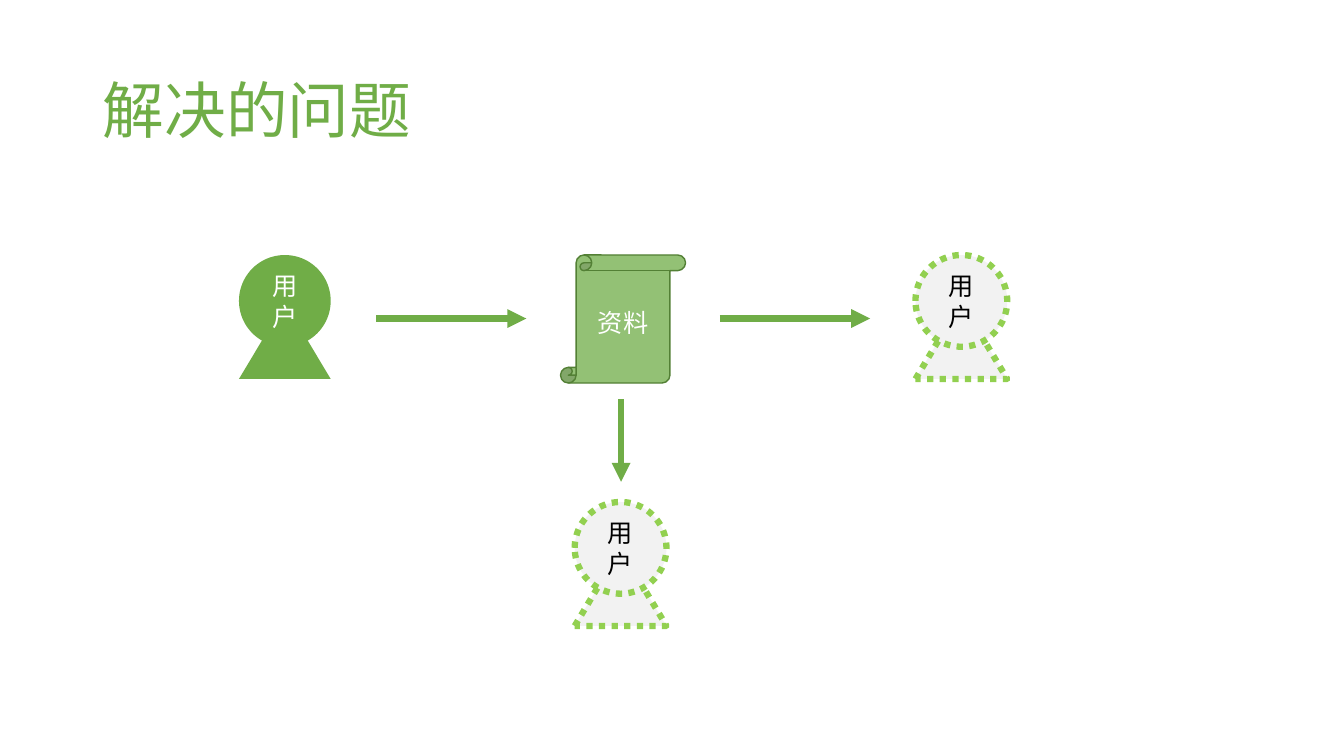
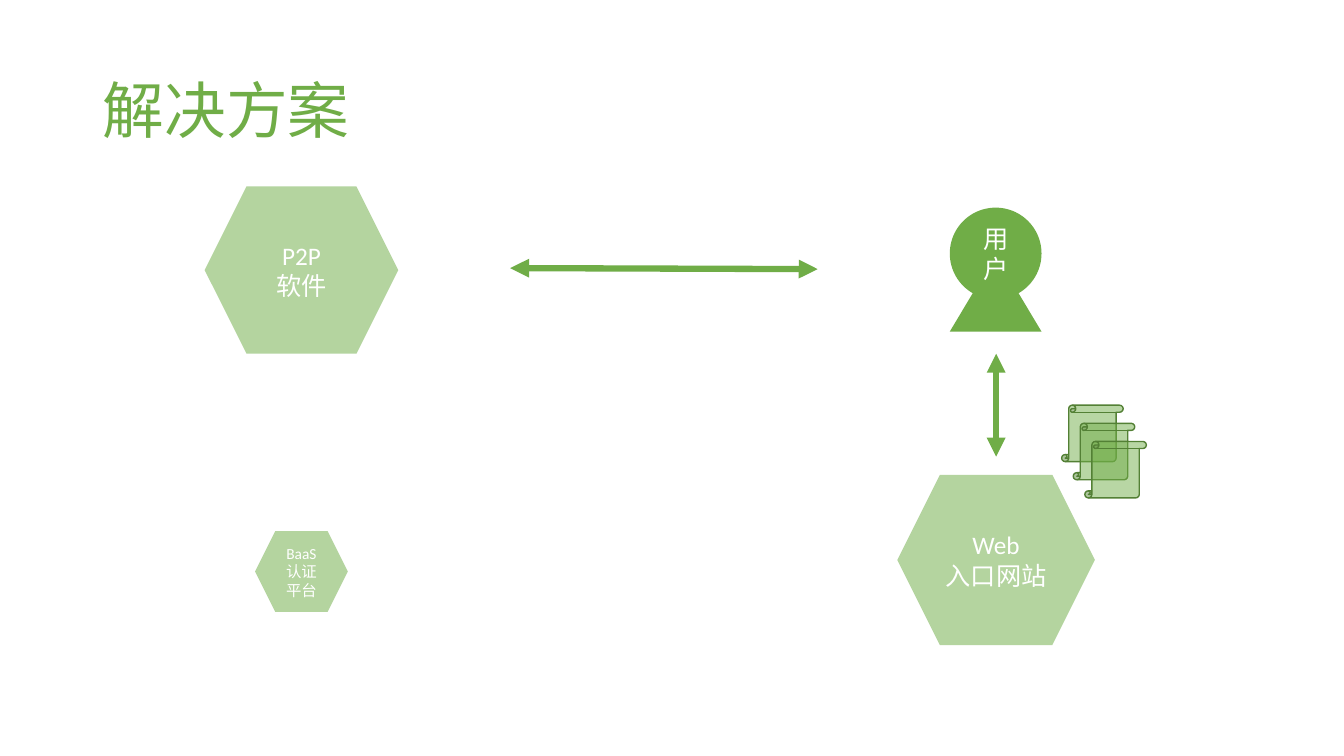
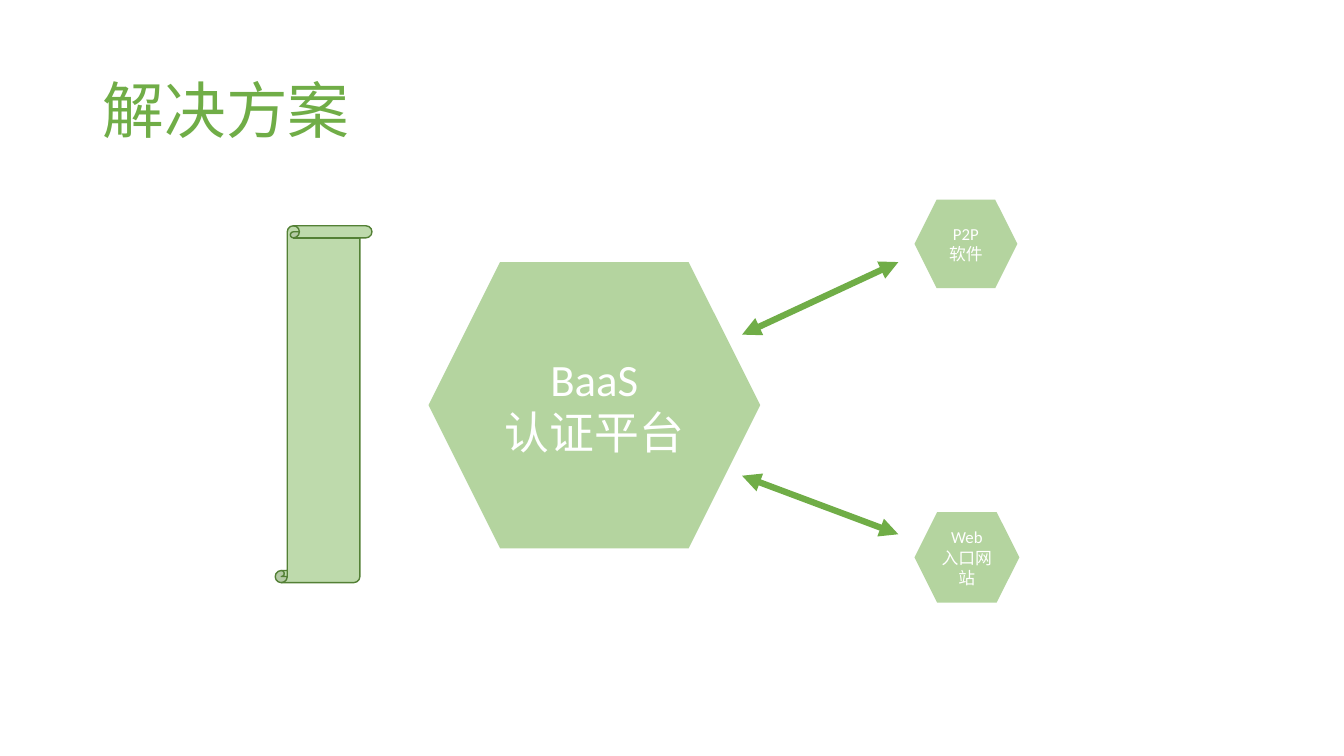
from lxml.etree import SubElement
from pptx import Presentation
from pptx.dml.color import RGBColor
from pptx.enum.dml import MSO_LINE
from pptx.enum.shapes import MSO_CONNECTOR, MSO_SHAPE
from pptx.enum.text import MSO_ANCHOR, PP_ALIGN
from pptx.oxml.ns import qn
from pptx.util import Inches, Pt

COLORS = {
    "green": "70AD47",
    "lime": "92D050",
    "edge": "538035",
    "pale": "F2F2F2",
    "white": "FFFFFF",
    "black": "000000",
}
LATIN = "Calibri"
ASIAN = "Noto Sans CJK TC"


def paint(name):
    return RGBColor.from_string(COLORS[name])


def write(frame, text, size=18, color="white", font=LATIN,
          align=PP_ALIGN.CENTER, space=None):
    frame.word_wrap = True
    frame.vertical_anchor = MSO_ANCHOR.MIDDLE
    frame.text = text
    for para in frame.paragraphs:
        para.alignment = align
        para.line_spacing = space
        for run in para.runs:
            run.font.size = Pt(size)
            run.font.color.rgb = paint(color)
            run.font.name = font
            SubElement(run.font._element, qn("a:ea"), typeface=ASIAN)


class Deck:
    def __init__(self):
        self.show = Presentation()
        self.show.slide_width = Inches(13.33)
        self.show.slide_height = Inches(7.5)
        self.slide = None

    def page(self, text):
        self.slide = self.show.slides.add_slide(self.show.slide_layouts[5])
        title = self.slide.shapes.title
        title.left, title.top = Inches(0.92), Inches(0.4)
        title.width, title.height = Inches(11.5), Inches(1.45)
        write(title.text_frame, text, size=44, color="green", font=ASIAN,
              align=PP_ALIGN.LEFT, space=0.9)

    def shape(self, kind, left, top, width, height, fill="green", alpha=100,
              line=None, weight=1, dash=None, home=None):
        shapes = (home or self.slide).shapes
        item = shapes.add_shape(kind, Inches(left), Inches(top),
                                Inches(width), Inches(height))
        item.shadow.inherit = False
        item.fill.solid()
        item.fill.fore_color.rgb = paint(fill)
        if alpha < 100:
            tint = item._element.spPr.find(qn("a:solidFill"))[0]
            SubElement(tint, qn("a:alpha"), val=str(alpha * 1000))
        if line:
            item.line.color.rgb = paint(line)
            item.line.width = Pt(weight)
            item.line.dash_style = dash
        else:
            item.line.fill.background()
        return item

    def user(self, left, top, dotted=False):
        look, ink = {}, "white"
        if dotted:
            look = dict(fill="pale", line="lime", weight=4.5,
                        dash=MSO_LINE.ROUND_DOT)
            ink = "black"
        group = self.slide.shapes.add_group_shape()
        self.shape(MSO_SHAPE.ISOSCELES_TRIANGLE, left, top + 0.47, 0.91, 0.76,
                   home=group, **look)
        head = self.shape(MSO_SHAPE.OVAL, left, top, 0.91, 0.91,
                          home=group, **look)
        write(head.text_frame, "用户", color=ink)

    def hexa(self, text, left, top, width, height, size=18):
        item = self.shape(MSO_SHAPE.HEXAGON, left, top, width, height, alpha=52)
        write(item.text_frame, text, size=size)

    def scroll(self, left, top, width, height, alpha, text=""):
        item = self.shape(MSO_SHAPE.VERTICAL_SCROLL, left, top, width, height,
                          alpha=alpha, line="edge")
        if text:
            write(item.text_frame, text)

    def arrow(self, start, end, both=True):
        ends = [Inches(n) for n in (*start, *end)]
        link = self.slide.shapes.add_connector(MSO_CONNECTOR.STRAIGHT, *ends)
        link.line.color.rgb = paint("green")
        link.line.width = Pt(4.5)
        line = link.line._get_or_add_ln()
        for tip in ("a:headEnd", "a:tailEnd") if both else ("a:tailEnd",):
            SubElement(line, qn(tip), type="triangle")
        SubElement(link._element.spPr, qn("a:effectLst"))


def main():
    deck = Deck()

    deck.page("解决的问题")
    deck.user(2.37, 2.53)
    deck.user(9.08, 2.53, dotted=True)
    deck.scroll(5.56, 2.53, 1.24, 1.27, 75, "资料")
    deck.user(5.7, 4.98, dotted=True)
    deck.arrow((6.16, 3.96), (6.16, 4.78), both=False)
    for left in (3.73, 7.14):
        deck.arrow((left, 3.16), (left + 1.49, 3.16), both=False)

    deck.page("解决方案")
    deck.hexa("P2P\n软件", 2.03, 1.85, 1.92, 1.66)
    deck.hexa("BaaS\n认证平台", 2.53, 5.27, 0.92, 0.8, size=11)
    deck.hexa("Web\n入口网站", 8.9, 4.71, 1.96, 1.69)
    deck.user(9.42, 2.06)
    deck.arrow((9.88, 3.51), (9.88, 4.53))
    deck.arrow((5.06, 2.66), (8.11, 2.67))
    for step in range(3):
        deck.scroll(10.53 + 0.115 * step, 4.02 + 0.18 * step, 0.61, 0.56, 49)

    deck.page("解决方案")
    deck.hexa("P2P\n软件", 9.07, 1.98, 1.02, 0.88, size=12)
    deck.hexa("BaaS\n认证平台", 4.25, 2.6, 3.29, 2.84, size=32)
    deck.hexa("Web\n入口网站", 9.07, 5.08, 1.04, 0.9, size=12)
    deck.scroll(2.73, 2.24, 0.96, 3.54, 45)
    deck.arrow((8.91, 2.6), (7.36, 3.32))
    deck.arrow((8.91, 5.3), (7.36, 4.72))

    deck.show.save("out.pptx")


if __name__ == "__main__":
    main()
